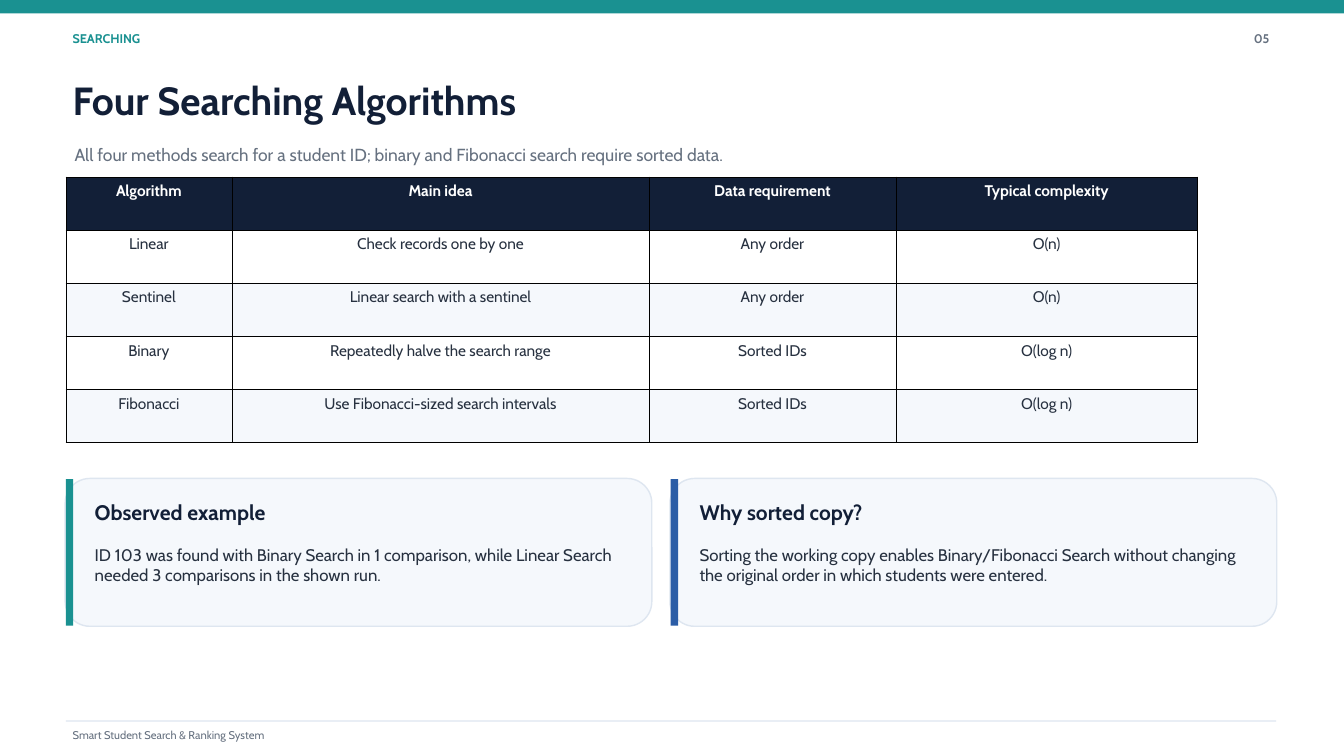
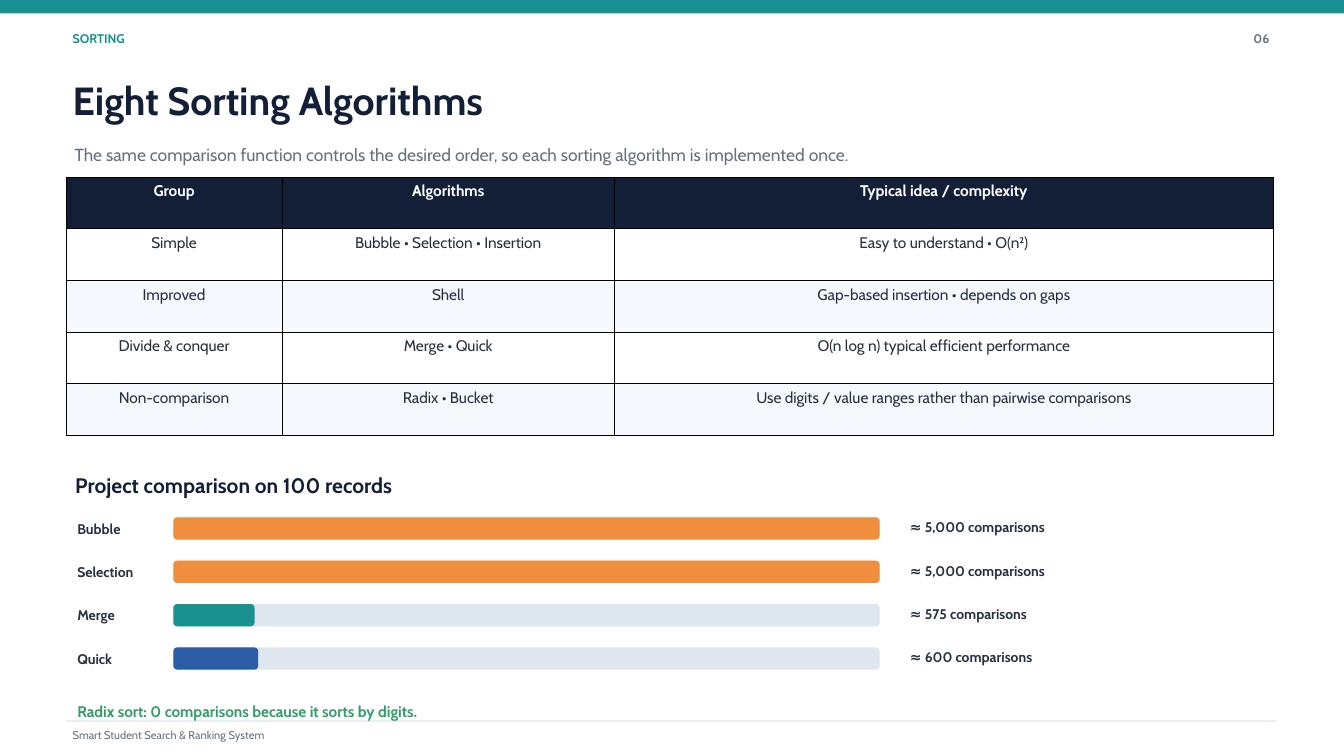
"""Build two slides on searching and sorting algorithms."""
from lxml import etree
from pptx import Presentation
from pptx.dml.color import RGBColor
from pptx.enum.shapes import MSO_SHAPE
from pptx.enum.text import PP_ALIGN
from pptx.oxml.ns import qn
from pptx.util import Inches, Pt

RECTANGLE, ROUNDED = MSO_SHAPE.RECTANGLE, MSO_SHAPE.ROUNDED_RECTANGLE
LEFT, CENTER, RIGHT = PP_ALIGN.LEFT, PP_ALIGN.CENTER, PP_ALIGN.RIGHT

FONT = "Cabin"
COLORS = {
    "teal": "1A9191", "blue": "2B5DA6", "orange": "EF8F3E", "green": "339D67",
    "navy": "121F37", "ink": "273140", "gray": "667180",
    "line": "DEE6F0", "pale": "F5F8FC", "white": "FFFFFF", "black": "000000",
}
MARGIN = 0.98
TABLE_TOP = 2.63


def write_text(text, slide=None, at=None, cell=None, size=16.5, color="ink", bold=False, align=LEFT):
    """Write one paragraph into a table cell or a new text box."""
    if cell is not None:
        frame, inset = cell.text_frame, 0.08
    else:
        frame, inset = slide.shapes.add_textbox(*map(Inches, at)).text_frame, 0
        frame.word_wrap = True
    target = frame if cell is None else cell
    target.margin_left = target.margin_right = Inches(inset)
    target.margin_top = target.margin_bottom = Inches(inset)
    paragraph = frame.paragraphs[0]
    paragraph.alignment = align
    paragraph.line_spacing = Pt(size * 1.2)
    run = paragraph.add_run()
    run.text = text
    run.font.name = FONT
    run.font.size = Pt(size)
    run.font.bold = bold
    run.font.color.rgb = RGBColor.from_string(COLORS[color])


def add_block(slide, kind, at, fill, outline=None):
    """Add a filled shape, with an outline if a colour is given."""
    shape = slide.shapes.add_shape(kind, *map(Inches, at))
    shape.shadow.inherit = False
    shape.fill.solid()
    shape.fill.fore_color.rgb = RGBColor.from_string(COLORS[fill])
    if outline:
        shape.line.color.rgb = RGBColor.from_string(COLORS[outline])
        shape.line.width = Pt(1.5)
    else:
        shape.line.fill.background()


PAGES = [
    {
        "section": "SEARCHING",
        "number": "05",
        "title": "Four Searching Algorithms",
        "subtitle": "All four methods search for a student ID; binary and Fibonacci search require sorted data.",
        "columns": [2.47, 6.21, 3.67, 4.49],
        "row_height": 0.79,
        "rows": [
            ["Algorithm", "Main idea", "Data requirement", "Typical complexity"],
            ["Linear", "Check records one by one", "Any order", "O(n)"],
            ["Sentinel", "Linear search with a sentinel", "Any order", "O(n)"],
            ["Binary", "Repeatedly halve the search range", "Sorted IDs", "O(log n)"],
            ["Fibonacci", "Use Fibonacci-sized search intervals", "Sorted IDs", "O(log n)"],
        ],
    },
    {
        "section": "SORTING",
        "number": "06",
        "title": "Eight Sorting Algorithms",
        "subtitle": "The same comparison function controls the desired order, "
                    "so each sorting algorithm is implemented once.",
        "columns": [3.22, 4.94, 9.81],
        "row_height": 0.77,
        "rows": [
            ["Group", "Algorithms", "Typical idea / complexity"],
            ["Simple", "Bubble • Selection • Insertion", "Easy to understand • O(n²)"],
            ["Improved", "Shell", "Gap-based insertion • depends on gaps"],
            ["Divide & conquer", "Merge • Quick", "O(n log n) typical efficient performance"],
            ["Non-comparison", "Radix • Bucket", "Use digits / value ranges rather than pairwise comparisons"],
        ],
    },
]

presentation = Presentation()
presentation.slide_width = Inches(20)
presentation.slide_height = Inches(11.25)

slides = []
for page in PAGES:
    slide = presentation.slides.add_slide(presentation.slide_layouts[6])
    slides.append(slide)
    add_block(slide, RECTANGLE, (0, 0, 20, 0.2), "teal")
    write_text(page["section"], slide, (1.08, 0.46, 6.71, 0.36), size=13.5, color="teal", bold=True)
    write_text(page["number"], slide, (18.26, 0.46, 0.63, 0.36), size=13.5, color="gray", bold=True, align=RIGHT)
    write_text(page["title"], slide, (1.08, 1.13, 17.81, 1.03), size=42, color="navy", bold=True)
    write_text(page["subtitle"], slide, (1.11, 2.15, 17.36, 0.62), size=18.75, color="gray")

    rows, columns = page["rows"], page["columns"]
    table_at = (MARGIN, TABLE_TOP, sum(columns), page["row_height"] * len(rows))
    table = slide.shapes.add_table(len(rows), len(columns), *map(Inches, table_at)).table
    table.first_row = table.horz_banding = False
    for column, width in zip(table.columns, columns):
        column.width = Inches(width)
    for row_index, row in enumerate(rows):
        table.rows[row_index].height = Inches(page["row_height"])
        header = row_index == 0
        fill = "navy" if header else "white" if row_index % 2 else "pale"
        for column_index, text in enumerate(row):
            cell = table.cell(row_index, column_index)
            cell.fill.solid()
            cell.fill.fore_color.rgb = RGBColor.from_string(COLORS[fill])
            write_text(text, cell=cell, color="white" if header else "ink", bold=header, align=CENTER)
            properties = cell._tc.get_or_add_tcPr()
            for position, side in enumerate(("a:lnL", "a:lnR", "a:lnT", "a:lnB")):
                border = etree.Element(qn(side), w=str(Pt(0.37)))
                border_fill = etree.SubElement(border, qn("a:solidFill"))
                etree.SubElement(border_fill, qn("a:srgbClr"), val=COLORS["black"])
                properties.insert(position, border)

    add_block(slide, RECTANGLE, (MARGIN, 10.72, 18.01, 0.02), "line")
    write_text("Smart Student Search & Ranking System", slide, (1.08, 10.84, 11.81, 0.2), size=12, color="gray")

searching, sorting = slides

CARDS = [
    (0.97, 8.73, "teal", "Observed example",
     "ID 103 was found with Binary Search in 1 comparison, while Linear Search "
     "needed 3 comparisons in the shown run."),
    (9.97, 9.03, "blue", "Why sorted copy?",
     "Sorting the working copy enables Binary/Fibonacci Search without changing "
     "the original order in which students were entered."),
]
for left, width, accent, heading, body in CARDS:
    text_left, text_width = left + 0.44, width - 0.79
    add_block(searching, ROUNDED, (left, 7.12, width, 2.2), "pale", outline="line")
    add_block(searching, RECTANGLE, (left + 0.01, 7.13, 0.11, 2.18), accent)
    write_text(heading, searching, (text_left, 7.44, text_width, 0.43), size=22.5, color="navy", bold=True)
    write_text(body, searching, (text_left, 8.11, text_width, 0.91), size=18)

write_text("Project comparison on 100 records", sorting, (1.12, 7.03, 4.9, 0.43), size=22.5, color="navy", bold=True)

BAR_LEFT, BAR_TOP, BAR_WIDTH, BAR_HEIGHT, BAR_STEP = 2.58, 7.7, 10.51, 0.33, 0.645
MOST_COMPARISONS = 5000
COMPARISONS = [
    ("Bubble", 5000, "orange"),
    ("Selection", 5000, "orange"),
    ("Merge", 575, "teal"),
    ("Quick", 600, "blue"),
]
for index, (name, count, color) in enumerate(COMPARISONS):
    top = BAR_TOP + index * BAR_STEP
    filled_width = BAR_WIDTH * count / MOST_COMPARISONS
    write_text(name, sorting, (1.15, top + 0.04, 1.3, 0.28), size=15, bold=True)
    add_block(sorting, ROUNDED, (BAR_LEFT, top, BAR_WIDTH, BAR_HEIGHT), "line")
    add_block(sorting, ROUNDED, (BAR_LEFT, top, filled_width, BAR_HEIGHT), color)
    write_text(f"≈ {count:,} comparisons", sorting, (13.54, top + 0.02, 3.1, 0.28), size=15, bold=True)

write_text("Radix sort: 0 comparisons because it sorts by digits.", sorting, (1.15, 10.44, 8.81, 0.28),
           color="green", bold=True)

presentation.save("out.pptx")
